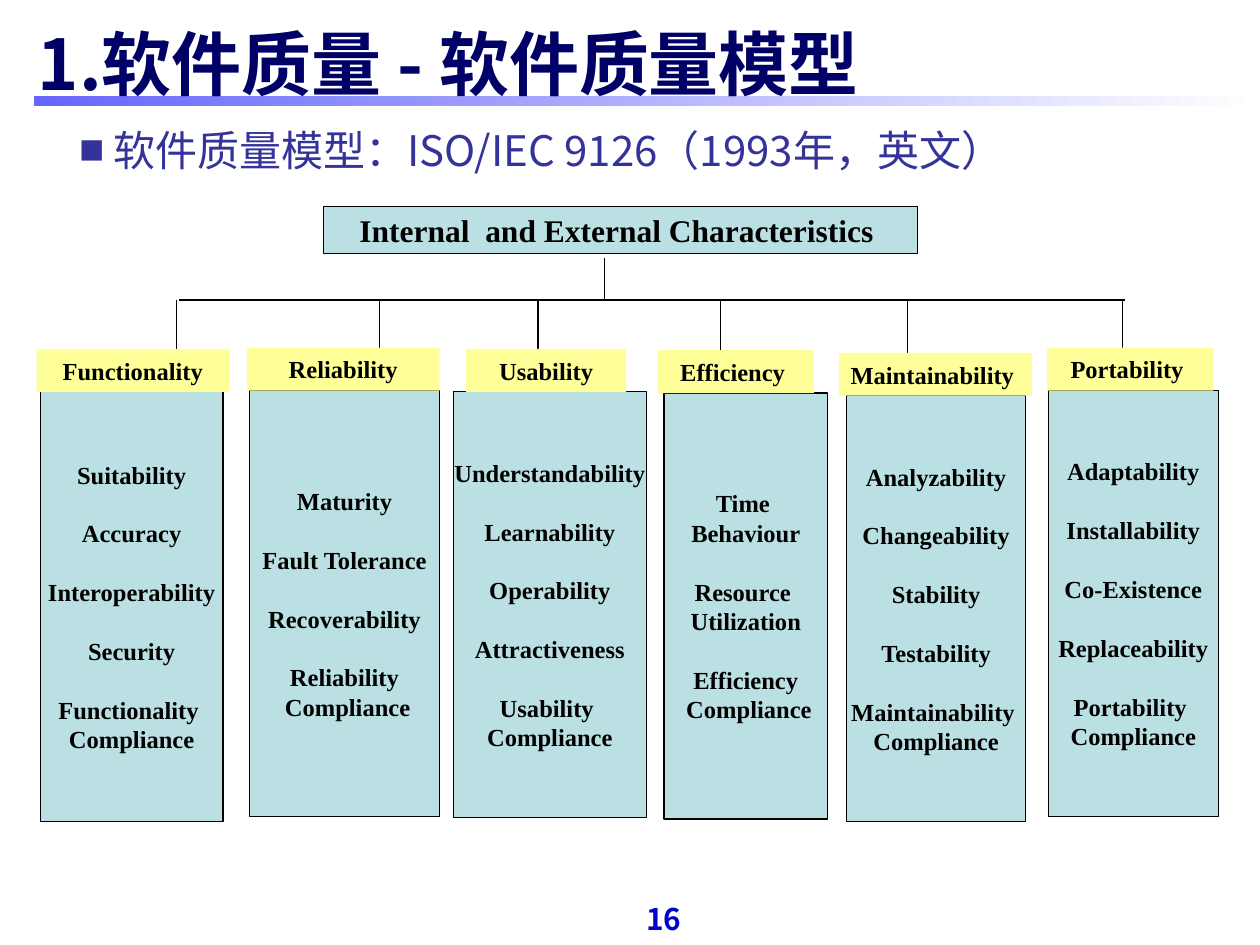
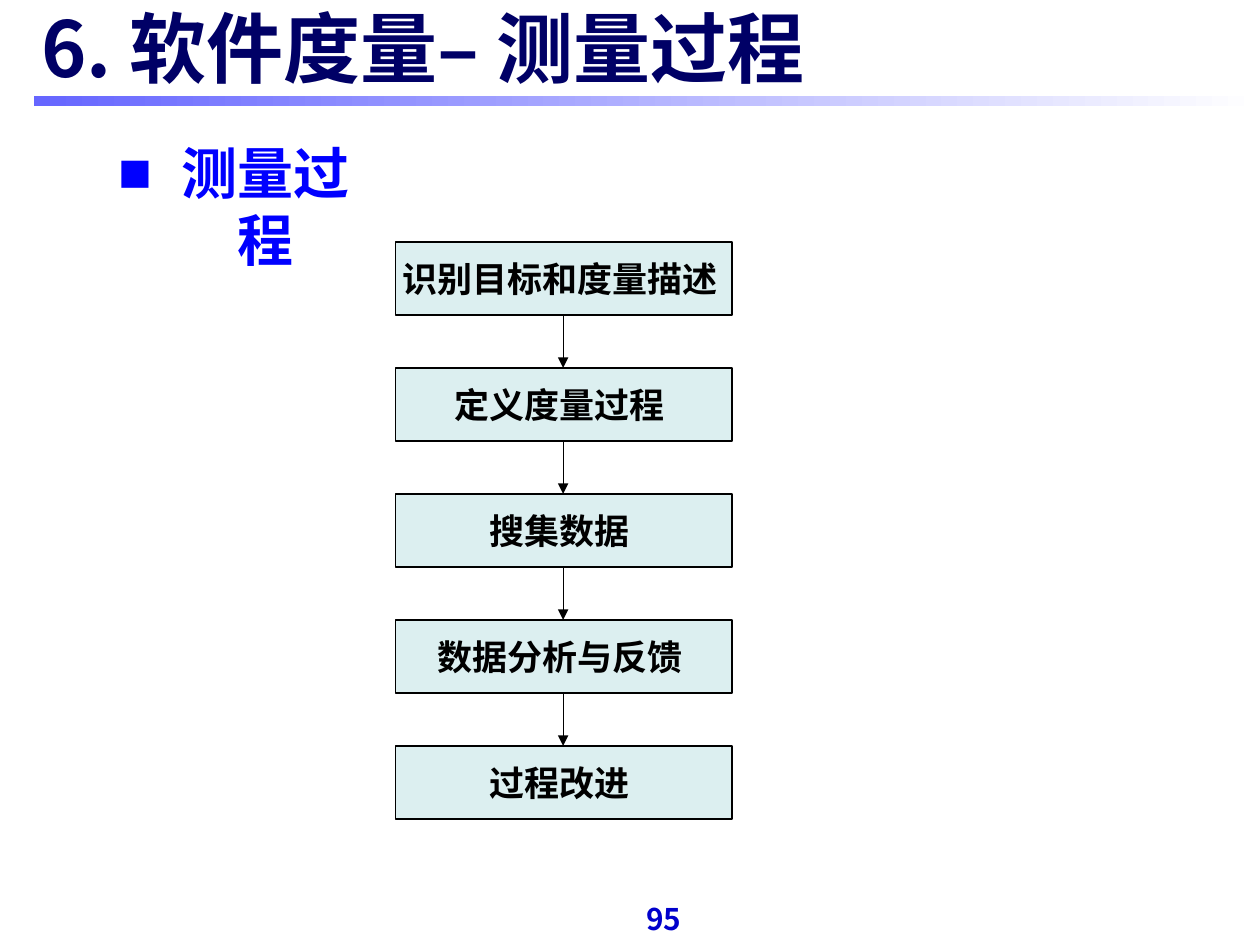
from dataclasses import dataclass
from itertools import pairwise
from typing import NamedTuple

from lxml.etree import SubElement
from pptx import Presentation
from pptx.dml.color import RGBColor
from pptx.enum.shapes import MSO_CONNECTOR as Connector, MSO_SHAPE as Preset
from pptx.enum.text import MSO_ANCHOR as Anchor, MSO_AUTO_SIZE as AutoSize, PP_ALIGN as Align
from pptx.oxml.ns import qn
from pptx.util import Emu, Pt

PX = 9144


class Rect(NamedTuple):
    """A frame in px, 100 to the inch."""
    left: int
    top: int
    width: int
    height: int

    def emu(self) -> list[Emu]:
        """Return the frame in EMU."""
        return [Emu(value * PX) for value in self]


class Style(NamedTuple):
    """The look of a run of text."""
    font: str
    size: int
    color: str
    bold: bool = True


class Column(NamedTuple):
    """One quality characteristic with its sub-characteristics."""
    label: str
    tag: Rect
    box_left: int
    box_width: int
    box_height: int
    stem_x: int
    traits: tuple[str, ...]


@dataclass(frozen=True)
class Theme:
    """Colours, type styles and line measures of the deck."""
    band_start: str = "6666FF"
    band_end: str = "FFFFFF"
    box: str = "BBE0E3"
    tag: str = "FFFF99"
    ink: str = "000000"
    line: float = 0.75
    spine: float = 1.5
    leading: float = 1.2
    title: Style = Style("Noto Sans CJK SC", 40, "000066")
    large_title: Style = Style("Noto Sans CJK SC", 44, "000066")
    page_number: Style = Style("Noto Sans CJK SC", 17, "0000CC")
    model: Style = Style("Noto Sans CJK SC", 24, "333399", False)
    heading: Style = Style("Noto Sans CJK SC", 32, "0000FF")
    step: Style = Style("Noto Sans CJK SC", 20, "000000")
    root: Style = Style("Times New Roman", 18, "000000")
    trait: Style = Style("Times New Roman", 14, "000000")


THEME = Theme()
ROOT = Rect(257, 164, 471, 37)
ROOT_STEM_X, ROOT_STEM_TOP = 480, 205
SPINE_LEFT, SPINE_RIGHT, SPINE_Y = 142, 893, 238
COLUMNS = (
    Column("Functionality", Rect(29, 277, 153, 34), 32, 145, 341, 140,
           ("Suitability", "Accuracy", "Interoperability", "Security",
            "Functionality \nCompliance")),
    Column("Reliability", Rect(196, 276, 153, 34), 198, 151, 338, 301,
           ("Maturity", "Fault Tolerance", "Recoverability", "Reliability\n Compliance")),
    Column("Usability", Rect(370, 277, 127, 34), 360, 153, 338, 427,
           ("Understandability", "Learnability", "Operability", "Attractiveness",
            "Usability \nCompliance")),
    Column("Efficiency ", Rect(522, 278, 124, 34), 527, 130, 338, 572,
           ("Time \nBehaviour", "Resource \nUtilization", "Efficiency\n Compliance")),
    Column("Maintainability ", Rect(666, 280, 153, 34), 672, 142, 338, 720,
           ("Analyzability", "Changeability", "Stability", "Testability",
            "Maintainability \nCompliance")),
    Column("Portability ", Rect(831, 276, 132, 34), 832, 135, 338, 891,
           ("Adaptability", "Installability", "Co-Existence", "Replaceability",
            "Portability \nCompliance")),
)
STEPS = ("识别目标和度量描述 ", "定义度量过程 ", "搜集数据 ", "数据分析与反馈 ", "过程改进 ")
FIRST_STEP = Rect(314, 192, 267, 58)
STEP_PITCH = 100


def add_span(para, text: str, style: Style) -> None:
    """Add one formatted run to a paragraph."""
    span = para.add_run()
    span.text = text
    span.font.size = Pt(style.size)
    span.font.bold = style.bold
    span.font.color.rgb = RGBColor.from_string(style.color)
    span.font.name = style.font
    SubElement(span.font._element, qn("a:ea"), typeface=style.font)


def set_frame(box, anchor: Anchor, wrap: bool = False):
    """Set anchor and wrapping and return the first paragraph."""
    frame = box.text_frame
    frame.auto_size = AutoSize.NONE
    frame.word_wrap = wrap
    frame.vertical_anchor = anchor
    return frame.paragraphs[0]


def add_box(page, rect: Rect, fill: str, outlined: bool = True):
    """Add a plain rectangle."""
    box = page.shapes.add_shape(Preset.RECTANGLE, *rect.emu())
    box.shadow.inherit = False
    box.fill.solid()
    box.fill.fore_color.rgb = RGBColor.from_string(fill)
    if outlined:
        box.line.color.rgb = RGBColor.from_string(THEME.ink)
        box.line.width = Pt(THEME.line)
    else:
        box.line.fill.background()
    return box


def add_label(box, text: str, style: Style) -> None:
    """Centre one line of text in a box."""
    para = set_frame(box, Anchor.MIDDLE)
    para.alignment = Align.CENTER
    add_span(para, text, style)


def add_traits(box, traits: tuple[str, ...], style: Style) -> None:
    """List the traits in a box, one line apart."""
    para = set_frame(box, Anchor.MIDDLE)
    leading = Pt(style.size * THEME.leading)
    for index, trait in enumerate(traits):
        for row, text in enumerate(trait.split("\n")):
            if index or row:
                para = box.text_frame.add_paragraph()
            if index and not row:
                para.space_before = leading
            para.alignment = Align.CENTER
            para.line_spacing = leading
            add_span(para, text, style)


def add_line(page, start: tuple[int, int], end: tuple[int, int],
             width: float = THEME.line, arrow: bool = False) -> None:
    """Add a straight line, with an arrowhead at its end if wanted."""
    points = [Emu(value * PX) for value in (*start, *end)]
    line = page.shapes.add_connector(Connector.STRAIGHT, *points)
    line.line.color.rgb = RGBColor.from_string(THEME.ink)
    line.line.width = Pt(width)
    if arrow:
        SubElement(line.line._get_or_add_ln(), qn("a:tailEnd"), type="triangle")
    SubElement(line._element.spPr, qn("a:effectLst"))


def add_bullet_text(page, rect: Rect, text: str, style: Style, indent: int):
    """Add a text box with one square-bulleted paragraph."""
    box = page.shapes.add_textbox(*rect.emu())
    para = set_frame(box, Anchor.TOP, wrap=True)
    properties = para._p.get_or_add_pPr()
    properties.set("marL", str(indent * PX))
    properties.set("indent", str(-indent * PX))
    color = SubElement(properties, qn("a:buClr"))
    SubElement(color, qn("a:srgbClr"), val=style.color)
    SubElement(properties, qn("a:buFont"), typeface=THEME.trait.font)
    SubElement(properties, qn("a:buChar"), char="■")
    add_span(para, text, style)
    return box


def start_page(deck, title: str, rect: Rect, style: Style, anchor: Anchor, number: str):
    """Add a page with its band, title and page number."""
    page = deck.slides.add_slide(deck.slide_layouts[5])
    band = add_box(page, Rect(27, 76, 973, 8), THEME.band_start, outlined=False)
    band.fill.gradient()
    band.fill.gradient_angle = 0
    for stop, color in zip(band.fill.gradient_stops, (THEME.band_start, THEME.band_end)):
        stop.color.rgb = RGBColor.from_string(color)
    add_label(page.shapes.add_textbox(*Rect(511, 708, 32, 42).emu()), number, THEME.page_number)
    heading = page.shapes.title
    heading.left, heading.top, heading.width, heading.height = rect.emu()
    para = set_frame(heading, anchor, wrap=True)
    para.alignment = Align.LEFT
    add_span(para, title, style)
    page.shapes.element.append(heading.element)
    return page


def build_model_page(deck) -> None:
    """Build the quality model tree."""
    page = start_page(deck, "1.软件质量 - 软件质量模型", Rect(20, 12, 914, 76),
                      THEME.title, Anchor.MIDDLE, "16")
    box = add_bullet_text(page, Rect(53, 102, 880, 43),
                          "软件质量模型：ISO/IEC 9126（1993年，英文）", THEME.model, 27)
    box.text_frame.paragraphs[0].line_spacing = 0.8
    add_label(add_box(page, ROOT, THEME.box), "Internal  and External Characteristics ", THEME.root)
    add_line(page, (ROOT_STEM_X, ROOT_STEM_TOP), (ROOT_STEM_X, SPINE_Y))
    add_line(page, (SPINE_LEFT, SPINE_Y), (SPINE_RIGHT, SPINE_Y), THEME.spine)
    for column in COLUMNS:
        tag = column.tag
        add_line(page, (column.stem_x, SPINE_Y), (column.stem_x, tag.top))
        frame = Rect(column.box_left, tag.top + tag.height, column.box_width, column.box_height)
        add_traits(add_box(page, frame, THEME.box), column.traits, THEME.trait)
        add_label(add_box(page, tag, THEME.tag, outlined=False), column.label, THEME.trait)


def build_process_page(deck) -> None:
    """Build the measurement process flow."""
    page = start_page(deck, "6. 软件度量– 测量过程", Rect(23, 3, 914, 76),
                      THEME.large_title, Anchor.BOTTOM, "95")
    box = add_bullet_text(page, Rect(83, 102, 243, 64), "测量过程", THEME.heading, 50)
    box.text_frame.margin_right = Emu(48 * PX)
    box.text_frame.margin_top = Emu(8 * PX)
    para = box.text_frame.paragraphs[0]
    para.alignment = Align.CENTER
    para.line_spacing = Pt(THEME.heading.size * THEME.leading)
    frames = [FIRST_STEP._replace(top=FIRST_STEP.top + index * STEP_PITCH)
              for index in range(len(STEPS))]
    for frame, text in zip(frames, STEPS):
        step = add_box(page, frame, THEME.box)
        color = step.fill._xPr.find(qn("a:solidFill")).find(qn("a:srgbClr"))
        SubElement(color, qn("a:alpha"), val="50000")
        add_label(step, text, THEME.step)
    middle = FIRST_STEP.left + FIRST_STEP.width // 2
    for upper, lower in pairwise(frames):
        add_line(page, (middle, upper.top + upper.height), (middle, lower.top), arrow=True)


def main() -> None:
    """Build and save the deck."""
    deck = Presentation()
    deck.slide_width, deck.slide_height = Emu(1000 * PX), Emu(750 * PX)
    build_model_page(deck)
    build_process_page(deck)
    deck.save("out.pptx")


if __name__ == "__main__":
    main()
